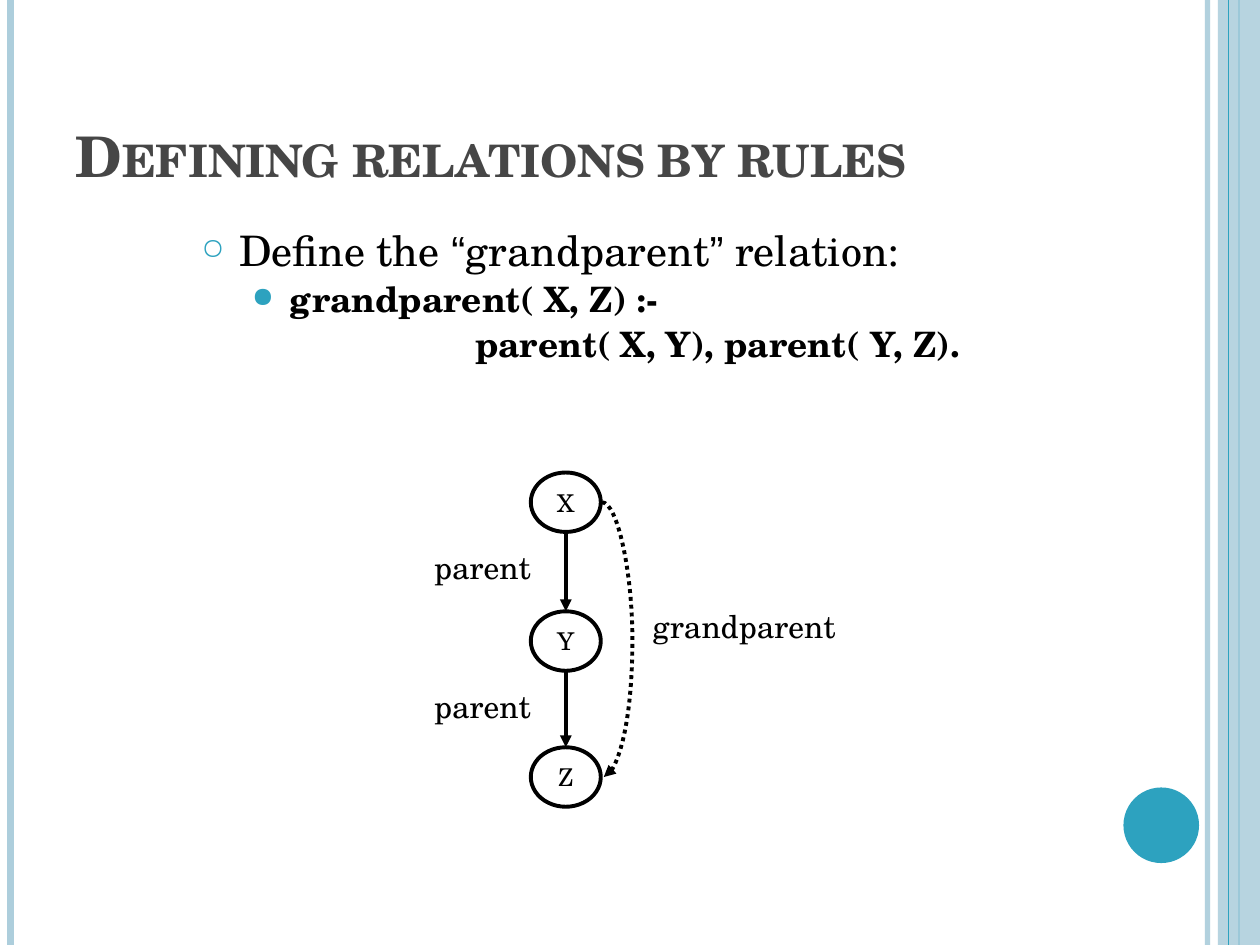
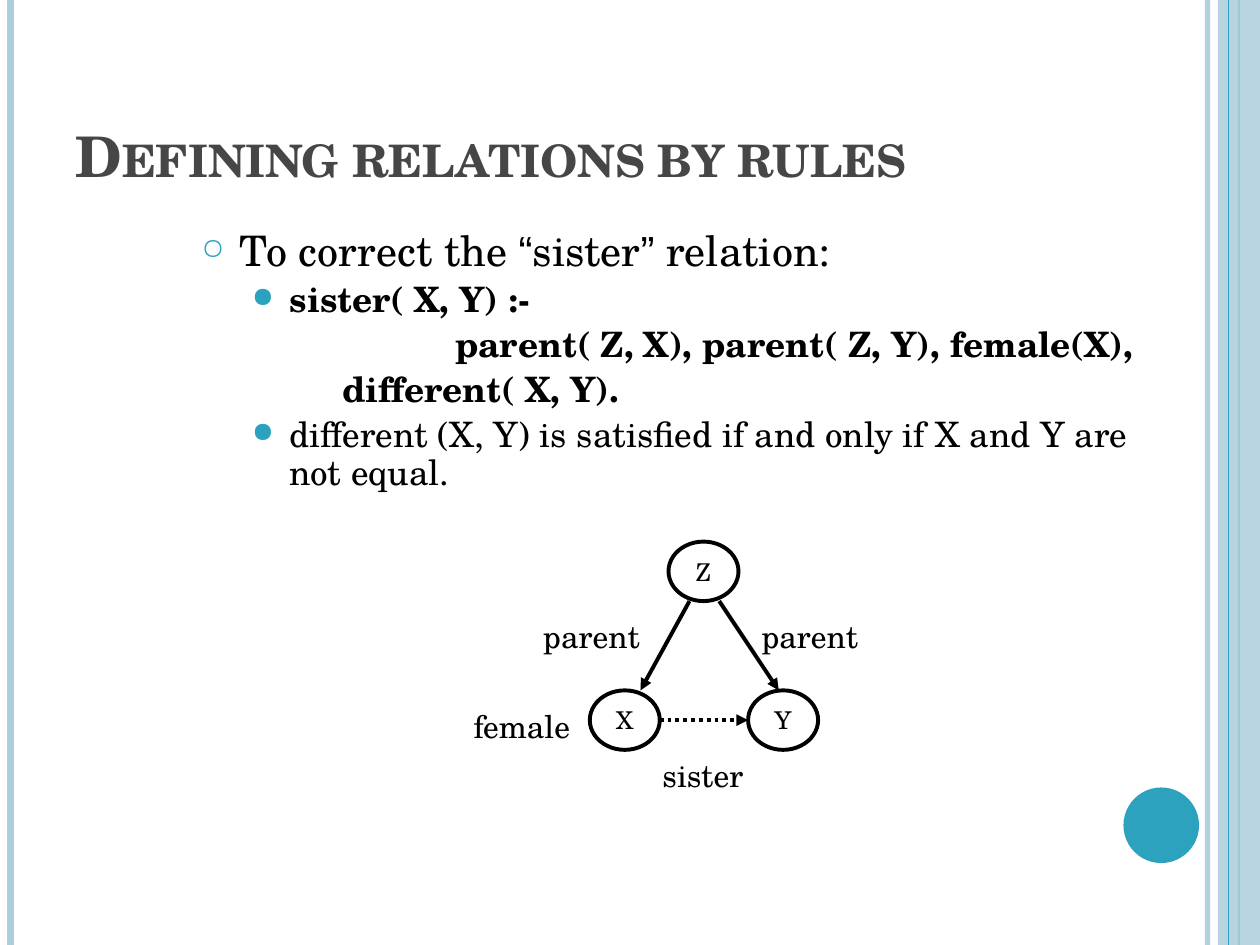
from lxml.etree import SubElement
from pptx import Presentation
from pptx.dml.color import RGBColor
from pptx.enum.dml import MSO_LINE_DASH_STYLE as Dash
from pptx.enum.shapes import MSO_CONNECTOR as Link, MSO_SHAPE as Shape
from pptx.enum.text import MSO_ANCHOR as Anchor, PP_ALIGN as Align
from pptx.oxml.ns import qn
from pptx.util import Pt

SERIF, QUOTE_FONT = "TeX Gyre Schola", "Arial"
TEAL, PALE, GREY, BLACK, WHITE = "2DA2BF", "ADCEDC", "464646", "000000", "FFFFFF"
WIDTH, HEIGHT = 720, 540
NODE_WIDTH, NODE_HEIGHT = 40, 34
TITLE = "Defining relations by rules"


def color(hex_code):
    return RGBColor.from_string(hex_code)


def fade(shape, percent):
    for fill in shape.element.xpath("./p:spPr//a:srgbClr"):
        SubElement(fill, qn("a:alpha"), val=str(percent * 1000))


def add_line(page, start, end, stroke=BLACK, width=2.25, kind=Link.STRAIGHT,
             arrow=False, dotted=False):
    line = page.shapes.add_connector(kind, *map(Pt, (*start, *end)))
    line.line.color.rgb = color(stroke)
    line.line.width = Pt(width)
    if dotted:
        line.line.dash_style = Dash.ROUND_DOT
    if arrow:
        outline = line.element.xpath("./p:spPr/a:ln")[0]
        SubElement(outline, qn("a:tailEnd"), type="triangle")
    SubElement(line.element.spPr, qn("a:effectLst"))
    return line


def add_bulging_arrow(page, start, end, bulge):
    curve = add_line(page, start, end, kind=Link.CURVE, arrow=True, dotted=True)
    share = round(bulge / (end[0] - start[0]) * 100000)
    guides = curve.element.xpath("./p:spPr/a:prstGeom")[0].get_or_add_avLst()
    SubElement(guides, qn("a:gd"), name="adj1", fmla=f"val {share}")


def add_filled(page, kind, left, top, width, height, fill):
    shape = page.shapes.add_shape(kind, *map(Pt, (left, top, width, height)))
    shape.shadow.inherit = False
    shape.fill.solid()
    shape.fill.fore_color.rgb = color(fill)
    shape.line.fill.background()
    return shape


def add_span(para, text, size, font=SERIF, ink=BLACK, bold=False):
    span = para.add_run()
    span.text = text
    span.font.name = font
    span.font.size = Pt(size)
    span.font.bold = bold
    span.font.color.rgb = color(ink)
    return span


def add_box(page, left, top, width, height, wrap=True):
    box = page.shapes.add_textbox(*map(Pt, (left, top, width, height)))
    box.text_frame.word_wrap = wrap
    return box.text_frame


def add_label(page, text, left, top, width):
    frame = add_box(page, left, top, width, 29, wrap=False)
    add_span(frame.paragraphs[0], text, 18)


def add_node(page, text, center):
    x, y = center
    node = add_filled(page, Shape.OVAL, x - NODE_WIDTH / 2, y - NODE_HEIGHT / 2,
                      NODE_WIDTH, NODE_HEIGHT, WHITE)
    node.line.color.rgb = color(BLACK)
    node.line.width = Pt(2.25)
    frame = node.text_frame
    frame.word_wrap = False
    frame.vertical_anchor = Anchor.MIDDLE
    frame.paragraphs[0].alignment = Align.CENTER
    add_span(frame.paragraphs[0], text, 14)


def format_para(para, left, before=0, bullet=None, bullet_size=80):
    para.line_spacing = 0.9
    para.space_before = Pt(before)
    properties = para._p.get_or_add_pPr()
    properties.set("marL", str(Pt(left)))
    properties.set("indent", str(Pt(-21.6 if bullet else 0)))
    if bullet:
        tint = SubElement(properties, qn("a:buClr"))
        SubElement(tint, qn("a:srgbClr"), val=TEAL)
        SubElement(properties, qn("a:buSzPct"), val=str(bullet_size * 1000))
        SubElement(properties, qn("a:buChar"), char=bullet)


def add_body(page, heading, lines):
    frame = add_box(page, 108, 128, 576, 397)
    para = frame.paragraphs[0]
    format_para(para, 21.6, bullet="○", bullet_size=70)
    for text in heading:
        add_span(para, text, 24, font=QUOTE_FONT if text in "“”" else SERIF)
    for text, left, bullet, bold in lines:
        para = frame.add_paragraph()
        format_para(para, left, before=4, bullet=bullet)
        add_span(para, text, 20, bold=bold)


def add_page(deck):
    page = deck.slides.add_slide(deck.slide_layouts[6])

    def rule(x, stroke, width):
        return add_line(page, (x, 0), (x, HEIGHT), stroke, width)

    fade(rule(690, PALE, 3), 93)
    rule(6, PALE, 4.5)
    rule(708, TEAL, 1.5)
    fade(add_filled(page, Shape.RECTANGLE, 696, 0, 24, HEIGHT, PALE), 87)
    rule(702, TEAL, 0.75)
    add_filled(page, Shape.OVAL, 642, 450, 43.2, 43.2, TEAL)
    frame = add_box(page, 36, 21.6, 588, 90)
    frame.vertical_anchor = Anchor.BOTTOM
    span = add_span(frame.paragraphs[0], TITLE, 32, ink=GREY, bold=True)
    span.font._element.set("cap", "small")
    return page


def grandparent_page(deck):
    page = add_page(deck)
    add_body(page, ["Define the ", "“", "grandparent", "”", " relation:"], [
        ("grandparent( X, Z) :-", 50.4, "●", True),
        ("parent( X, Y), parent( Y, Z).", 156.5, None, True),
    ])
    middle = 323.3
    levels = {"X": 287, "Y": 366.3, "Z": 444}
    for name, y in levels.items():
        add_node(page, name, (middle, y))
    heights = list(levels.values())
    for upper, lower in zip(heights, heights[1:]):
        add_line(page, (middle, upper + NODE_HEIGHT / 2),
                 (middle, lower - NODE_HEIGHT / 2), arrow=True)
        add_label(page, "parent", 241, upper + 22.5, 73.4)
    add_bulging_arrow(page, (344, levels["X"]), (345, levels["Z"]), 17.5)
    add_label(page, "grandparent", 365.8, 343.5, 125)


def sister_page(deck):
    page = add_page(deck)
    add_body(page, ["To correct the ", "“", "sister", "”", " relation:"], [
        ("sister( X, Y) :-", 50.4, "●", True),
        ("parent( Z, X), parent( Z, Y), female(X),", 145, None, True),
        ("different( X, Y).", 80.5, None, True),
        ("different (X, Y) is satisfied if and only if X and Y are not equal.",
         50.4, "●", False),
    ])
    children = 411.5
    for name, center in {"Z": (402, 326.5), "X": (357, children),
                         "Y": (447.5, children)}.items():
        add_node(page, name, center)
    for start, end in ((394, 366), (411, 445)):
        add_line(page, (start, 343.5), (end, 394.5), arrow=True)
    add_line(page, (377, children), (427.5, children), arrow=True, dotted=True)
    for text, left, top, width in (("parent", 303.2, 349.2, 73.4),
                                   ("parent", 428, 349.2, 73.4),
                                   ("female", 263.5, 400.3, 75.6),
                                   ("sister", 371.5, 428.4, 64)):
        add_label(page, text, left, top, width)


def main():
    deck = Presentation()
    deck.slide_width, deck.slide_height = Pt(WIDTH), Pt(HEIGHT)
    grandparent_page(deck)
    sister_page(deck)
    deck.save("out.pptx")


if __name__ == "__main__":
    main()
